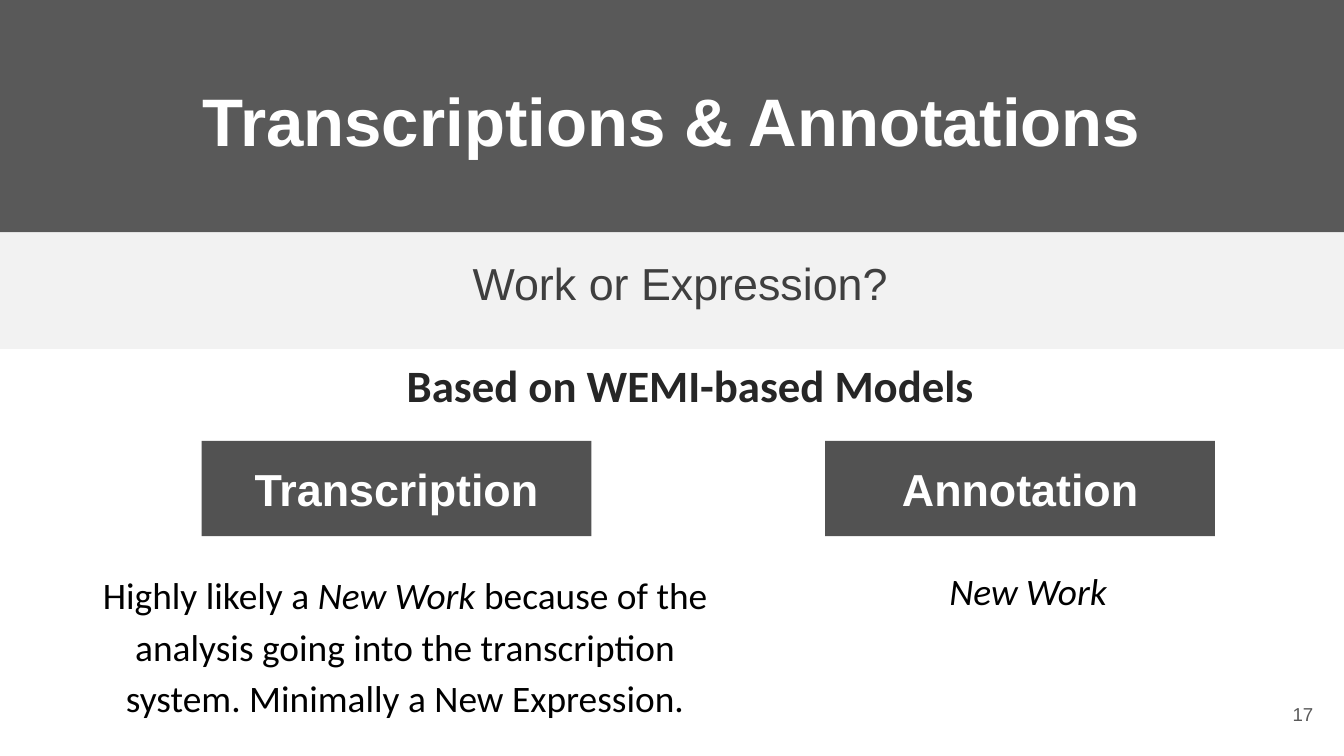
from pptx import Presentation
from pptx.dml.color import RGBColor
from pptx.enum.shapes import MSO_SHAPE as Shape
from pptx.enum.text import MSO_ANCHOR as Anchor, MSO_AUTO_SIZE as AutoSize, PP_ALIGN as Align
from pptx.oxml.ns import qn
from pptx.util import Pt

WHITE = RGBColor(0xFF, 0xFF, 0xFF)
BLACK = RGBColor(0x00, 0x00, 0x00)
BAND_DARK = RGBColor(0x59, 0x59, 0x59)
BAND_LIGHT = RGBColor(0xF2, 0xF2, 0xF2)
CALLOUT_GREY = RGBColor(0x52, 0x52, 0x52)
SUBTITLE_GREY = RGBColor(0x3F, 0x3F, 0x3F)
HEADING_GREY = RGBColor(0x26, 0x26, 0x26)

WIDTH, HEIGHT = 720, 405
BAND_SPLIT = 124.56
INSET = 7.2
INDENT = 8.64


def place(shape, left, top, width, height):
    shape.left, shape.top = Pt(left), Pt(top)
    shape.width, shape.height = Pt(width), Pt(height)


def write(shape, runs, size, font, color, bold=False, align=Align.CENTER,
          anchor=Anchor.TOP, inset_y=INSET, spacing=1.0):
    frame = shape.text_frame
    frame.word_wrap = True
    frame.auto_size = AutoSize.NONE
    frame.vertical_anchor = anchor
    frame.margin_left = frame.margin_right = Pt(INSET)
    frame.margin_top = frame.margin_bottom = Pt(inset_y)
    paragraph = frame.paragraphs[0]
    paragraph.alignment = align
    paragraph.line_spacing = spacing
    for text, italic in runs:
        run = paragraph.add_run()
        run.text = text
        run.font.name = font
        run.font.size = Pt(size)
        run.font.bold = bold
        run.font.italic = italic
        run.font.color.rgb = color


def add_filled(slide, kind, bounds, color):
    shape = slide.shapes.add_shape(kind, *map(Pt, bounds))
    shape.shadow.inherit = False
    shape.fill.solid()
    shape.fill.fore_color.rgb = color
    shape.line.fill.background()
    return shape


def add_title(slide, text):
    title = slide.shapes.title
    band = add_filled(slide, Shape.RECTANGLE, (0, 0, WIDTH, BAND_SPLIT), BAND_DARK)
    title.element.addprevious(band.element)
    place(title, 24.48, 35.28, 671.04, 61.92)
    write(title, [(text, False)], 36, "Arial", WHITE, bold=True)


def add_text(slide, bounds, runs, size, font, color, indent=INDENT, **style):
    box = slide.shapes.add_textbox(*map(Pt, bounds))
    write(box, runs, size, font, color, **style)
    for properties in box.element.iter(qn("a:pPr")):
        properties.set("marL", str(Pt(indent)))
        properties.set("indent", "0")


def add_callout(slide, left, label):
    callout = add_filled(slide, Shape.RECTANGULAR_CALLOUT,
                         (left, 236.16, 208.8, 51.12), CALLOUT_GREY)
    callout.adjustments[0] = -0.5
    callout.adjustments[1] = 0.2
    write(callout, [(label, False)], 24, "Arial", WHITE, bold=True,
          anchor=Anchor.MIDDLE, inset_y=3.6)


def main():
    deck = Presentation()
    deck.slide_width, deck.slide_height = Pt(WIDTH), Pt(HEIGHT)
    slide = deck.slides.add_slide(deck.slide_layouts[5])

    add_title(slide, "Transcriptions & Annotations")
    add_text(slide, (667.44, 367.2, 43.2, 30.96), [("17", False)], 10, "Arial",
             BAND_DARK, indent=0, align=Align.RIGHT, anchor=Anchor.MIDDLE)

    add_filled(slide, Shape.RECTANGLE, (0, BAND_SPLIT, WIDTH, 62.4), BAND_LIGHT)
    add_text(slide, (24.48, 131.76, 671.04, 45.36), [("Work or Expression?", False)],
             24, "Arial", SUBTITLE_GREY, spacing=0.95)
    add_text(slide, (108, 186.48, 514.8, 42.48), [("Based on WEMI-based Models", False)],
             24, "Calibri", HEADING_GREY, bold=True, spacing=0.95)

    transcription = [
        ("Highly likely a ", False),
        ("New Work", True),
        (" because of the analysis going into the transcription system. "
         "Minimally a New Expression.", False),
    ]
    annotation = [("New Work", True)]
    columns = [
        ("Transcription", 108, (37.44, 295.92, 350.64, 107.28), transcription),
        ("Annotation", 442.08, (434.16, 293.76, 224.64, 34.56), annotation),
    ]
    for label, left, bounds, verdict in columns:
        add_callout(slide, left, label)
        add_text(slide, bounds, verdict, 20, "Calibri", BLACK, spacing=1.15)

    deck.save("out.pptx")


if __name__ == "__main__":
    main()
